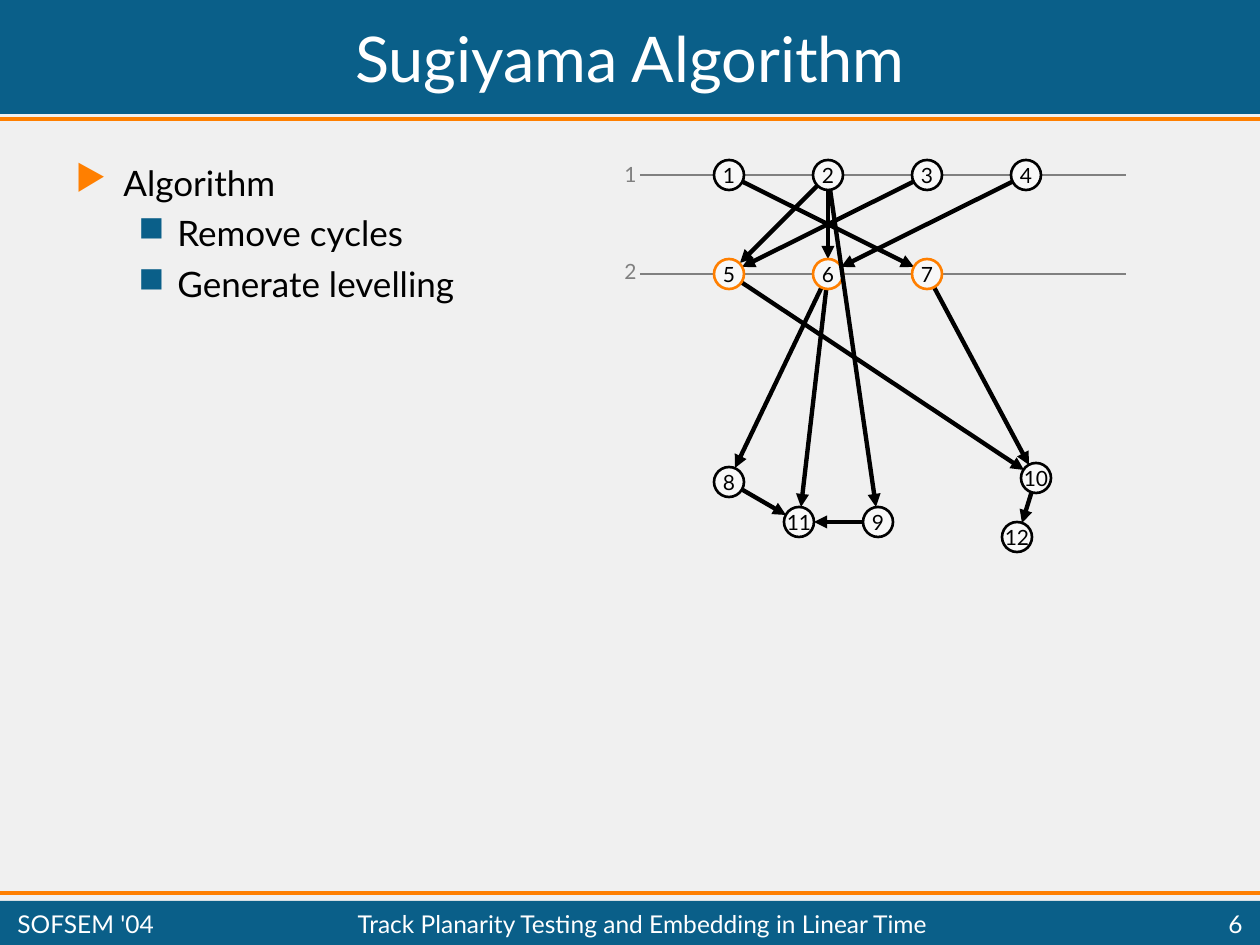
"""Build the Sugiyama Algorithm slide with its partly levelled graph."""

from dataclasses import dataclass
from math import hypot

from lxml.etree import SubElement
from pptx import Presentation
from pptx.dml.color import RGBColor
from pptx.enum.shapes import MSO_CONNECTOR as Connector, MSO_SHAPE as Preset
from pptx.enum.text import MSO_ANCHOR as Anchor, PP_ALIGN as Align
from pptx.oxml.ns import qn
from pptx.util import Emu, Pt

SCALE = 914400 / 126
WIDTH, HEIGHT = 1260, 945
RADIUS = 15
FONT = "Lato"
COLORS = {
    "blue": "0A5F89",
    "orange": "FF7F00",
    "page": "F0F0F0",
    "node": "F8F8F8",
    "black": "000000",
    "gray": "808080",
    "white": "FFFFFF",
}


@dataclass(frozen=True)
class Node:
    name: str
    x: int
    y: int
    color: str = "black"


@dataclass(frozen=True)
class Edge:
    source: str
    target: str


@dataclass(frozen=True)
class Label:
    text: str
    x: int
    y: int
    width: int
    height: int
    size: int
    color: str = "white"
    align: Align = Align.LEFT
    anchor: Anchor = Anchor.MIDDLE
    wrap: bool = True


@dataclass(frozen=True)
class Bullet:
    text: str
    symbol: str
    color: str
    margin: int
    hang: int
    space: float


FIRST_X, STEP_X = 729, 99
LEVELS = {"1": 175, "2": 274}
UPPER = [Node(str(i + 1), FIRST_X + i * STEP_X, LEVELS["1"]) for i in range(4)]
MIDDLE = [Node(str(i + 5), FIRST_X + i * STEP_X, LEVELS["2"], "orange") for i in range(3)]
LOWER = [
    Node("8", 729, 482),
    Node("9", 878, 522),
    Node("10", 1036, 478),
    Node("11", 799, 522),
    Node("12", 1017, 537),
]
NODES = {node.name: node for node in UPPER + MIDDLE + LOWER}
EDGES = [
    Edge(*pair.split("-"))
    for pair in "6-11 9-11 8-11 10-12 7-10 5-10 6-8 3-5 1-7 4-6 2-6 2-5".split()
]
LONG_EDGE = Edge("2", "9")
LABELS = [
    Label("Sugiyama Algorithm", 5, 5, 1250, 105, 36, align=Align.CENTER),
    Label("SOFSEM '04", 5, 906, 181, 35, 14),
    Label("Track Planarity Testing and Embedding in Linear Time",
          189, 906, 907, 35, 14, align=Align.CENTER),
    Label("6", 1106, 906, 149, 35, 14, align=Align.RIGHT),
    Label("1", 612, 155, 37, 38, 12, "gray", anchor=Anchor.TOP, wrap=False),
    Label("2", 612, 252, 37, 38, 12, "gray", anchor=Anchor.TOP, wrap=False),
]
BULLETS = [
    Bullet("Algorithm", "▶", "orange", 48, 48, 12.5),
    Bullet("Remove cycles", "■", "blue", 102, 39, 5),
    Bullet("Generate levelling", "■", "blue", 102, 39, 5),
]


def px(length: float) -> Emu:
    return Emu(round(length * SCALE))


def rgb(name: str) -> RGBColor:
    return RGBColor.from_string(COLORS[name])


def add_run(para, text: str, size: int, color: str) -> None:
    run = para.add_run()
    run.text = text
    run.font.name = FONT
    run.font.size = Pt(size)
    run.font.color.rgb = rgb(color)


def add_line(page, start: tuple, end: tuple, color: str, weight: float, arrow: bool = False) -> None:
    line = page.shapes.add_connector(Connector.STRAIGHT, *map(px, start + end))
    line.line.color.rgb = rgb(color)
    line.line.width = Pt(weight)
    if arrow:
        SubElement(line.line._get_or_add_ln(), qn("a:headEnd"), type="triangle")
    SubElement(line._element.spPr, qn("a:effectLst"))


def add_band(page, y: int, height: int) -> None:
    band = page.shapes.add_shape(Preset.RECTANGLE, 0, px(y), px(WIDTH), px(height))
    band.shadow.inherit = False
    band.fill.solid()
    band.fill.fore_color.rgb = rgb("blue")
    band.line.fill.background()


def add_label(page, label: Label) -> None:
    box = page.shapes.add_textbox(*map(px, (label.x, label.y, label.width, label.height)))
    frame = box.text_frame
    frame.word_wrap = label.wrap
    frame.vertical_anchor = label.anchor
    para = frame.paragraphs[0]
    para.alignment = label.align
    add_run(para, label.text, label.size, label.color)


def add_bullets(page, bullets: list[Bullet]) -> None:
    frame = page.shapes.add_textbox(*map(px, (63, 155, 566, 714))).text_frame
    frame.word_wrap = True
    for index, bullet in enumerate(bullets):
        para = frame.add_paragraph() if index else frame.paragraphs[0]
        para.level = min(index, 1)
        para.space_before = Pt(bullet.space)
        props = para._p.get_or_add_pPr()
        props.set("marL", str(px(bullet.margin)))
        props.set("indent", str(px(-bullet.hang)))
        SubElement(SubElement(props, qn("a:buClr")), qn("a:srgbClr"), val=COLORS[bullet.color])
        SubElement(props, qn("a:buChar"), char=bullet.symbol)
        add_run(para, bullet.text, 20, "black")


def add_edge(page, edge: Edge) -> None:
    source, target = NODES[edge.source], NODES[edge.target]
    dx, dy = source.x - target.x, source.y - target.y
    ratio = RADIUS / hypot(dx, dy)
    tip = (round(target.x + dx * ratio), round(target.y + dy * ratio))
    add_line(page, tip, (source.x, source.y), "black", 2.5, arrow=True)


def add_node(page, node: Node) -> None:
    circle = page.shapes.add_shape(
        Preset.OVAL, px(node.x - RADIUS), px(node.y - RADIUS), px(2 * RADIUS), px(2 * RADIUS))
    circle.shadow.inherit = False
    circle.fill.solid()
    circle.fill.fore_color.rgb = rgb("node")
    circle.line.color.rgb = rgb(node.color)
    circle.line.width = Pt(1.5)
    frame = circle.text_frame
    frame.word_wrap = False
    frame.vertical_anchor = Anchor.MIDDLE
    para = frame.paragraphs[0]
    para.alignment = Align.CENTER
    add_run(para, node.name, 12, "black")


def main() -> None:
    deck = Presentation()
    deck.slide_width, deck.slide_height = px(WIDTH), px(HEIGHT)
    page = deck.slides.add_slide(deck.slide_layouts[6])
    page.background.fill.solid()
    page.background.fill.fore_color.rgb = rgb("page")
    for y, height in ((0, 114), (901, 44)):
        add_band(page, y, height)
    for y in (119, 893):
        add_line(page, (0, y), (WIDTH, y), "orange", 2.25)
    add_bullets(page, BULLETS)
    for y in LEVELS.values():
        add_line(page, (640, y), (1126, y), "gray", 1.5)
    for edge in EDGES:
        add_edge(page, edge)
    for node in NODES.values():
        if node.name != LONG_EDGE.source:
            add_node(page, node)
    add_edge(page, LONG_EDGE)
    add_node(page, NODES[LONG_EDGE.source])
    for label in LABELS:
        add_label(page, label)
    deck.save("out.pptx")


if __name__ == "__main__":
    main()
